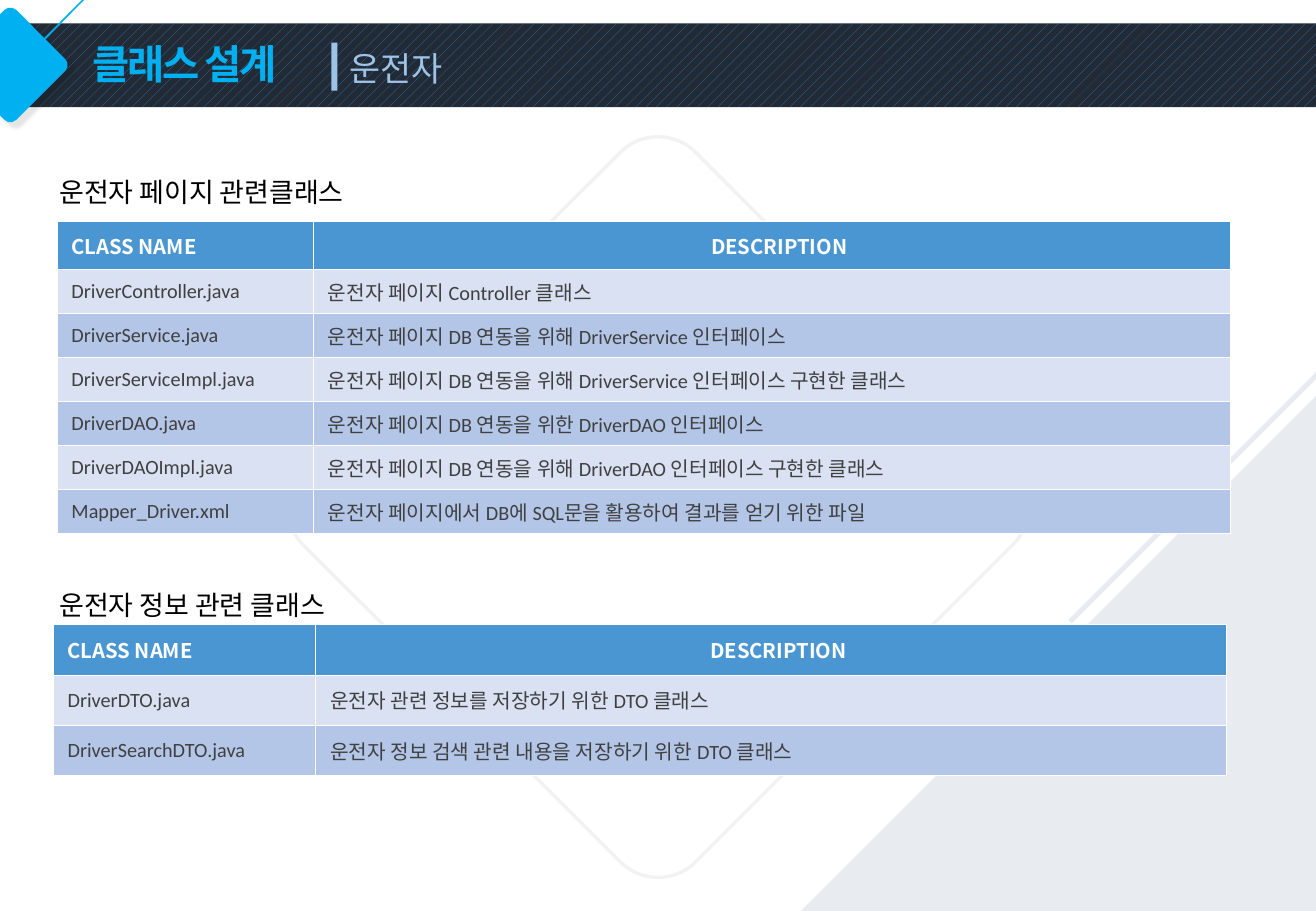
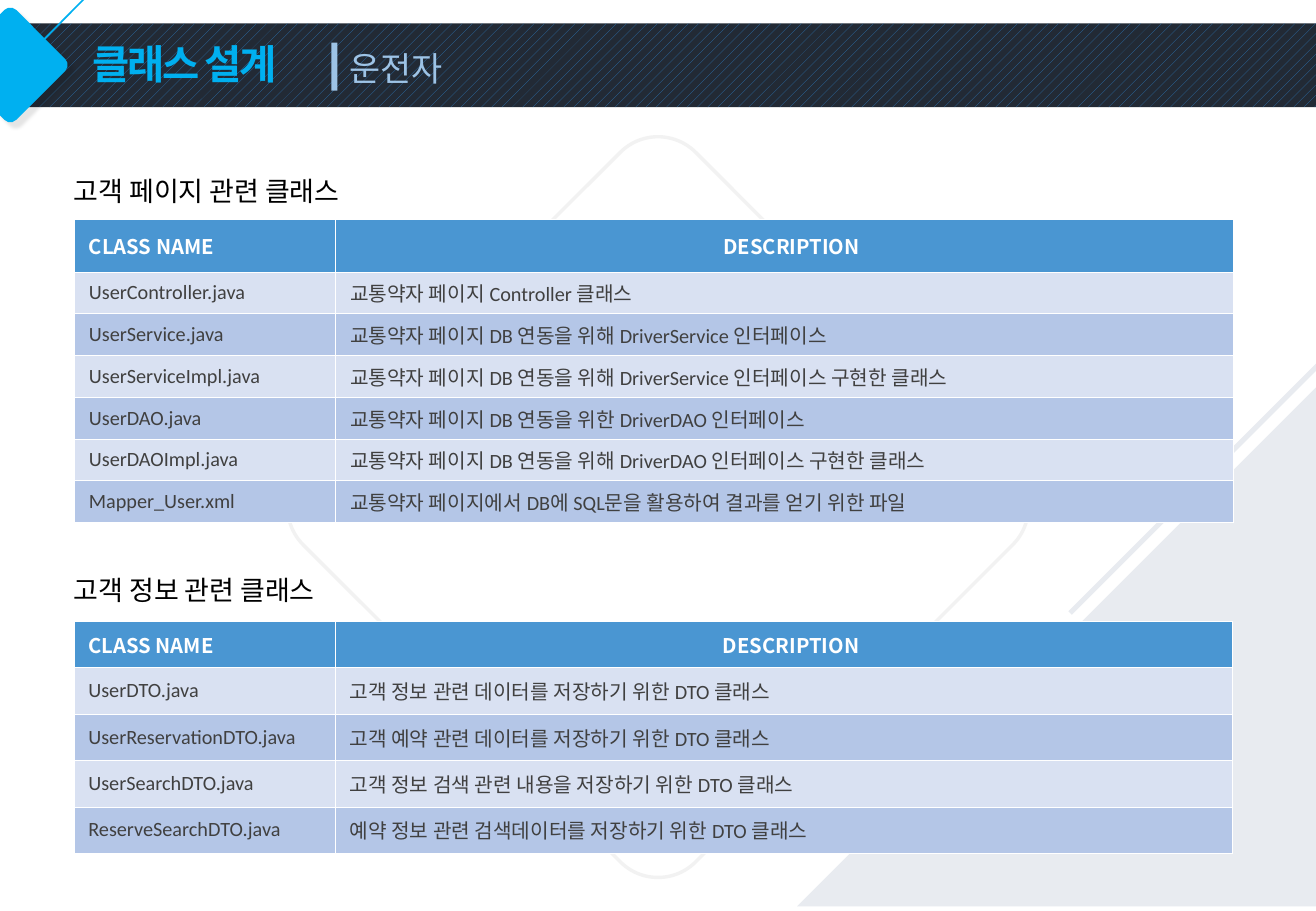
"""Build the two class design slides with their shared header and backdrop."""
from lxml import etree
from pptx import Presentation
from pptx.dml.color import RGBColor
from pptx.enum import dml, shapes, text
from pptx.oxml import ns
from pptx.util import Pt

COLORS = {
    "band": "222A35", "stripe": "2E75B6", "accent": "00B0F0", "subtitle": "9DC3E6",
    "outline": "F2F2F2", "corner": "E8EBF0", "heading": "000000", "white": "FFFFFF",
    "header": "4A96D2", "light": "D9E1F2", "dark": "B4C6E7", "body": "404040",
}
RGB = {name: RGBColor.from_string(value) for name, value in COLORS.items()}
EAST_ASIAN = "Noto Sans CJK KR"
COLUMN_TITLES = ("CLASS NAME", "DESCRIPTION")


def write(frame, words, size, font, color, bold=False):
    """Set one line of text and return its paragraph."""
    frame.text = words
    para = frame.paragraphs[0]
    span = para.runs[0]
    span.font.name = font
    span.font.size = Pt(size)
    span.font.bold = bold
    span.font.color.rgb = RGB[color]
    etree.SubElement(span.font._element, ns.qn("a:ea"), typeface=EAST_ASIAN)
    return para


def add_label(page, words, left, top, width, height, size, font, color, bold=False):
    """Add a text box and return it with its paragraph."""
    box = page.shapes.add_textbox(Pt(left), Pt(top), Pt(width), Pt(height))
    box.text_frame.word_wrap = True
    return box, write(box.text_frame, words, size, font, color, bold)


PAGES = [
    {"corner_top": 234.7, "sections": [
        {"heading": ("운전자 페이지 관련클래스", 28.1, 100.8),
         "place": (33.8, 131), "columns": (152, 543.6), "heights": (28.8, 26.1),
         "rows": [
             ("DriverController.java", "운전자 페이지 Controller 클래스"),
             ("DriverService.java", "운전자 페이지 DB 연동을 위해 DriverService 인터페이스"),
             ("DriverServiceImpl.java", "운전자 페이지 DB 연동을 위해 DriverService 인터페이스 구현한 클래스"),
             ("DriverDAO.java", "운전자 페이지 DB 연동을 위한 DriverDAO 인터페이스"),
             ("DriverDAOImpl.java", "운전자 페이지 DB 연동을 위해 DriverDAO 인터페이스 구현한 클래스"),
             ("Mapper_Driver.xml", "운전자 페이지에서 DB에 SQL문을 활용하여 결과를 얻기 위한 파일"),
         ]},
        {"heading": ("운전자 정보 관련 클래스", 28.1, 345.6),
         "place": (31.5, 370.2), "columns": (155.6, 540), "heights": (29.9, 29.9),
         "rows": [
             ("DriverDTO.java", "운전자 관련 정보를 저장하기 위한 DTO 클래스"),
             ("DriverSearchDTO.java", "운전자 정보 검색 관련 내용을 저장하기 위한 DTO 클래스"),
         ]},
    ]},
    {"corner_top": 229.7, "sections": [
        {"heading": ("고객 페이지 관련 클래스", 36.7, 100.1),
         "place": (44.1, 129.8), "columns": (154.8, 532), "heights": (31.5, 24.75),
         "rows": [
             ("UserController.java", "교통약자 페이지 Controller 클래스"),
             ("UserService.java", "교통약자 페이지 DB 연동을 위해 DriverService 인터페이스"),
             ("UserServiceImpl.java", "교통약자 페이지 DB 연동을 위해 DriverService 인터페이스 구현한 클래스"),
             ("UserDAO.java", "교통약자 페이지 DB 연동을 위한 DriverDAO 인터페이스"),
             ("UserDAOImpl.java", "교통약자 페이지 DB 연동을 위해 DriverDAO 인터페이스 구현한 클래스"),
             ("Mapper_User.xml", "교통약자 페이지에서 DB에 SQL문을 활용하여 결과를 얻기 위한 파일"),
         ]},
        {"heading": ("고객 정보 관련 클래스", 36.7, 336.2),
         "place": (43.8, 368.3), "columns": (154.8, 532), "heights": (27.5, 27.5),
         "rows": [
             ("UserDTO.java", "고객 정보 관련 데이터를 저장하기 위한 DTO 클래스"),
             ("UserReservationDTO.java", "고객 예약 관련 데이터를 저장하기 위한 DTO 클래스"),
             ("UserSearchDTO.java", "고객 정보 검색 관련 내용을 저장하기 위한 DTO 클래스"),
             ("ReserveSearchDTO.java", "예약 정보 관련 검색데이터를 저장하기 위한 DTO 클래스"),
         ]},
    ]},
]

deck = Presentation()
deck.slide_width, deck.slide_height = Pt(780), Pt(540)

for content in PAGES:
    page = deck.slides.add_slide(deck.slide_layouts[6])
    corner_top = content["corner_top"]

    backdrop = {}
    for name, kind, left, top, width, height, rotation, color in (
        ("band", shapes.MSO_SHAPE.RECTANGLE, 0, 13.9, 780, 49.6, 0, "band"),
        ("badge", shapes.MSO_SHAPE.ROUNDED_RECTANGLE, -19.4, 13, 51, 51, 45, "accent"),
        ("diamond", shapes.MSO_SHAPE.ROUNDED_RECTANGLE, 225.5, 136.1, 329, 329, 45, "outline"),
        ("corner", shapes.MSO_SHAPE.RIGHT_TRIANGLE, 472.5, corner_top, 307.5, 307.5, 270, "corner"),
        ("divider", shapes.MSO_SHAPE.RECTANGLE, 196.4, 25.2, 3.6, 28.6, 0, "subtitle"),
    ):
        shape = page.shapes.add_shape(kind, Pt(left), Pt(top), Pt(width), Pt(height))
        shape.shadow.inherit = False
        shape.rotation = rotation
        shape.fill.solid()
        shape.fill.fore_color.rgb = RGB[color]
        shape.line.fill.background()
        if kind == shapes.MSO_SHAPE.ROUNDED_RECTANGLE:
            shape.adjustments[0] = 0.096
        backdrop[name] = shape

    band_fill = backdrop["band"].fill
    band_fill.patterned()
    band_fill.pattern = dml.MSO_PATTERN.PERCENT_20
    band_fill.fore_color.rgb = RGB["stripe"]
    band_fill.back_color.rgb = RGB["band"]

    backdrop["diamond"].fill.background()
    backdrop["diamond"].line.color.rgb = RGB["outline"]
    backdrop["diamond"].line.width = Pt(2)

    effects = backdrop["badge"].element.spPr.find(ns.qn("a:effectLst"))
    effects.append(etree.fromstring(
        f'<a:outerShdw {ns.nsdecls("a")} blurRad="{Pt(2)}" dist="{Pt(5)}" dir="2700000" '
        'rotWithShape="0"><a:srgbClr val="000000"><a:alpha val="10000"/></a:srgbClr></a:outerShdw>'))

    for start_x, start_y, end_x, end_y, color, weight in (
        (5.8, 43.9, 61.2, -12.2, "accent", 1),
        (864.7, corner_top - 96.7, 634.3, corner_top + 133.7, "corner", 3),
    ):
        line = page.shapes.add_connector(
            shapes.MSO_CONNECTOR.STRAIGHT, Pt(start_x), Pt(start_y), Pt(end_x), Pt(end_y))
        line.line.color.rgb = RGB[color]
        line.line.width = Pt(weight)
        etree.SubElement(line.element.spPr, ns.qn("a:effectLst"))

    title, para = add_label(
        page, "클래스 설계", 54.7, 26.6, 120.2, 25.9, 24, "Arial", "accent", True)
    frame = title.text_frame
    frame.word_wrap = False
    frame.vertical_anchor = text.MSO_ANCHOR.MIDDLE
    frame.margin_left = frame.margin_top = frame.margin_right = frame.margin_bottom = 0
    para.line_spacing = 0.9
    para.runs[0].font._element.set("spc", "-130")
    add_label(page, "운전자", 200.2, 24.5, 359.3, 31.7, 20, "Calibri", "subtitle")

    for section in content["sections"]:
        heading, left, top = section["heading"]
        add_label(page, heading, left, top, 292, 26.6, 16, "Calibri", "heading")

        rows = [COLUMN_TITLES, *section["rows"]]
        header_height, row_height = section["heights"]
        left, top = section["place"]
        table = page.shapes.add_table(
            len(rows), 2, Pt(left), Pt(top), Pt(sum(section["columns"])),
            Pt(header_height + row_height * (len(rows) - 1))).table
        table.horz_banding = False
        for column, width in zip(table.columns, section["columns"]):
            column.width = Pt(width)

        for row_index, row in enumerate(rows):
            is_header = row_index == 0
            table.rows[row_index].height = Pt(header_height if is_header else row_height)
            fill = "header" if is_header else ("dark", "light")[row_index % 2]
            for column_index, words in enumerate(row):
                cell = table.cell(row_index, column_index)
                cell.vertical_anchor = text.MSO_ANCHOR.MIDDLE
                cell.margin_left = Pt(8.6)
                cell.margin_top = cell.margin_right = cell.margin_bottom = 0
                para = write(cell.text_frame, words, 12,
                             EAST_ASIAN if is_header else "Calibri",
                             "white" if is_header else "body", is_header)
                if is_header and column_index == 1:
                    para.alignment = text.PP_ALIGN.CENTER
                for side in ("lnL", "lnR", "lnT", "lnB"):
                    border = etree.SubElement(
                        cell._tc.get_or_add_tcPr(), ns.qn(f"a:{side}"), w=str(Pt(0.5)))
                    paint = etree.SubElement(border, ns.qn("a:solidFill"))
                    etree.SubElement(paint, ns.qn("a:srgbClr"), val=COLORS["white"])
                cell.fill.solid()
                cell.fill.fore_color.rgb = RGB[fill]

deck.save("out.pptx")
